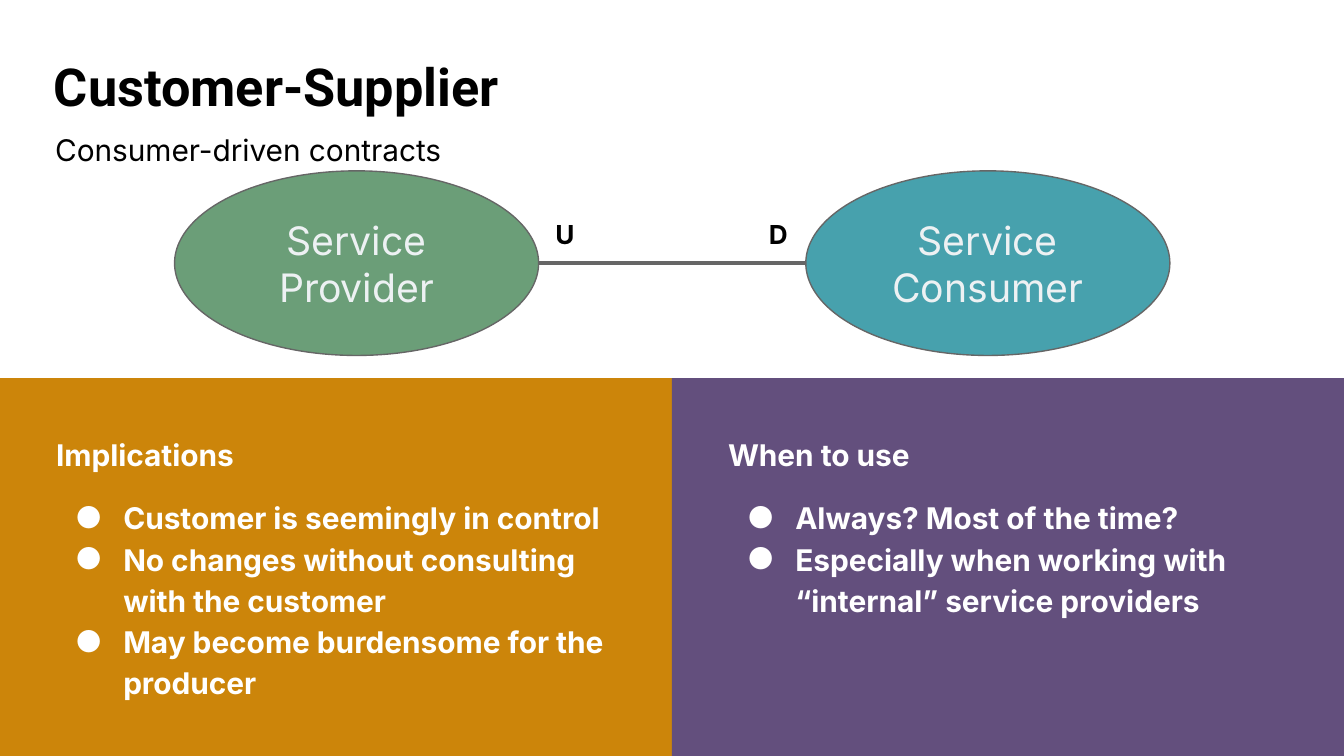
from lxml.etree import SubElement
from pptx import Presentation
from pptx.dml.color import RGBColor
from pptx.enum.shapes import MSO_CONNECTOR, MSO_SHAPE
from pptx.enum.text import MSO_ANCHOR, MSO_AUTO_SIZE, PP_ALIGN
from pptx.oxml.ns import qn
from pptx.util import Cm, Pt

HUES = {
    "black": "000000",
    "white": "FFFFFF",
    "pale": "EDF1F3",
    "gray": "666666",
    "green": "6B9E78",
    "teal": "47A1AD",
    "amber": "CC850A",
    "plum": "634F7D",
}
WIDE, HIGH = 25.4, 14.29
HALF = WIDE / 2
OVAL_W, OVAL_H, OVAL_TOP = 6.88, 3.49, 3.23


def hue(name):
    return RGBColor.from_string(HUES[name])


def style(para, size, color, bold=False, face="Inter", align=PP_ALIGN.LEFT):
    para.alignment = align
    font = para.font
    font.name, font.size, font.bold = face, Pt(size), bold
    font.color.rgb = hue(color)


def mark(para, bullet):
    props = para._p.get_or_add_pPr()
    props.set("marL", str(Cm(1.27) if bullet else 0))
    props.set("indent", str(Cm(-0.91) if bullet else 0))
    if bullet:
        tint = SubElement(props, qn("a:buClr"))
        SubElement(tint, qn("a:srgbClr"), val=HUES["white"])
        SubElement(props, qn("a:buFont"), typeface="Inter")
        SubElement(props, qn("a:buChar"), char="●")
    else:
        SubElement(props, qn("a:buNone"))


def place(holder, left, top, width, height):
    holder.left, holder.top = Cm(left), Cm(top)
    holder.width, holder.height = Cm(width), Cm(height)
    frame = holder.text_frame
    frame.margin_left = frame.margin_right = 0
    frame.margin_top = frame.margin_bottom = 0
    frame.vertical_anchor = MSO_ANCHOR.TOP
    frame.auto_size = MSO_AUTO_SIZE.NONE
    frame.word_wrap = True
    return frame


def add_oval(slide, left, text, color):
    oval = slide.shapes.add_shape(
        MSO_SHAPE.OVAL, Cm(left), Cm(OVAL_TOP), Cm(OVAL_W), Cm(OVAL_H))
    oval.shadow.inherit = False
    oval.fill.solid()
    oval.fill.fore_color.rgb = hue(color)
    oval.line.color.rgb = hue("gray")
    oval.line.width = Pt(0.75)
    frame = oval.text_frame
    frame.word_wrap = True
    frame.vertical_anchor = MSO_ANCHOR.MIDDLE
    frame.text = text
    for para in frame.paragraphs:
        style(para, 21, "pale", align=PP_ALIGN.CENTER)
    return oval


def add_link(slide, start, end):
    level = start.top + start.height // 2
    link = slide.shapes.add_connector(
        MSO_CONNECTOR.STRAIGHT, start.left + start.width, level, end.left, level)
    link.line.color.rgb = hue("gray")
    link.line.width = Pt(2.25)
    SubElement(link.element.spPr, qn("a:effectLst"))


def add_label(slide, left, text):
    box = slide.shapes.add_textbox(Cm(left), Cm(3.88), Cm(1.02), Cm(1.11))
    frame = box.text_frame
    frame.word_wrap = True
    frame.margin_left = frame.margin_right = Cm(0.25)
    frame.margin_top = frame.margin_bottom = Cm(0.25)
    frame.text = text
    style(frame.paragraphs[0], 14, "black", True, align=PP_ALIGN.CENTER)


def add_panel(slide, holder, left, color, head, items):
    panel = slide.shapes.add_shape(
        MSO_SHAPE.RECTANGLE, Cm(left), Cm(HIGH / 2), Cm(HALF), Cm(HIGH / 2))
    panel.shadow.inherit = False
    panel.fill.solid()
    panel.fill.fore_color.rgb = hue(color)
    panel.line.fill.background()
    holder.element.addprevious(panel.element)

    frame = place(holder, left + 1.06, 8.15, 10.62, 5.13)
    frame.text = "\n".join([head, *items])
    for i, para in enumerate(frame.paragraphs):
        mark(para, i > 0)
        para.line_spacing = 1.15
        para.space_before = Pt(12 if i == 1 else 0)
        style(para, 16, "white", True)


def main():
    deck = Presentation()
    deck.slide_width, deck.slide_height = Cm(WIDE), Cm(HIGH)
    slide = deck.slides.add_slide(deck.slide_layouts[4])
    title, lead, left, spare, right = slide.placeholders
    spare.element.getparent().remove(spare.element)

    frame = place(title, 1.02, 1.02, 23.34, 1.6)
    frame.text = "Customer-Supplier"
    style(frame.paragraphs[0], 28, "black", True, "Roboto")

    frame = place(lead, 1.04, 2.39, 23.34, 1.19)
    frame.text = "Consumer-driven contracts"
    para = frame.paragraphs[0]
    mark(para, False)
    para.line_spacing = 1.15
    para.space_before = Pt(0)
    style(para, 16, "black")

    maker = add_oval(slide, 3.3, "Service\nProvider", "green")
    user = add_oval(slide, 15.23, "Service Consumer", "teal")
    add_link(slide, maker, user)
    add_label(slide, 10.17, "U")
    add_label(slide, 14.2, "D")

    add_panel(slide, left, 0, "amber", "Implications", [
        "Customer is seemingly in control",
        "No changes without consulting with the customer",
        "May become burdensome for the producer",
    ])
    add_panel(slide, right, HALF, "plum", "When to use", [
        "Always? Most of the time?",
        "Especially when working with “internal” service providers",
    ])
    deck.save("out.pptx")


if __name__ == "__main__":
    main()
